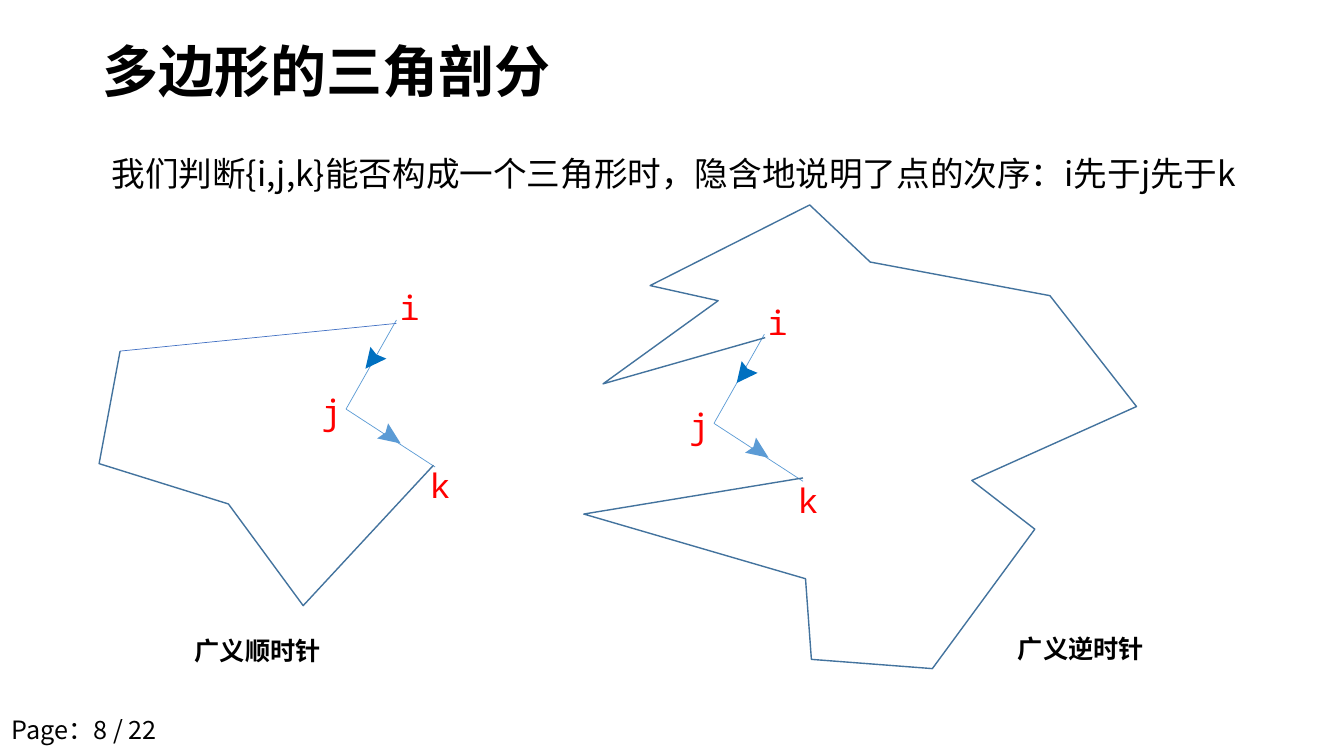
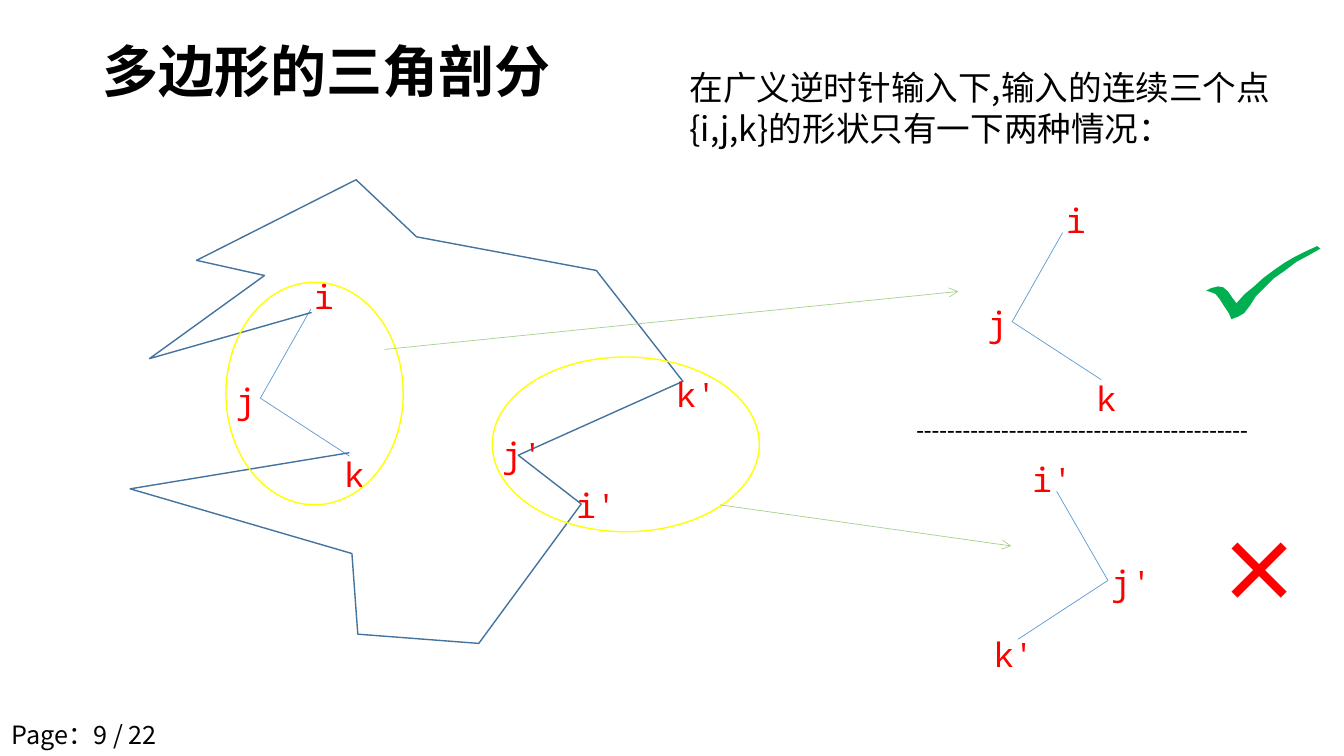
"""Build two slides on polygon triangulation, on a grid of 160 columns by 90 rows."""
from typing import NamedTuple, Optional

import pptx
import pptx.dml.color
import pptx.enum.shapes
import pptx.enum.text
import pptx.oxml.ns
import pptx.util
from lxml import etree

RGB = pptx.dml.color.RGBColor
BLACK = RGB(0x00, 0x00, 0x00)
RED = RGB(0xFF, 0x00, 0x00)
GREEN = RGB(0x00, 0xB0, 0x50)
YELLOW = RGB(0xFF, 0xFF, 0x00)
PALE_GREEN = RGB(0xA9, 0xD1, 0x8E)
SKY = RGB(0x5B, 0x9B, 0xD5)
DEEP_BLUE = RGB(0x00, 0x70, 0xC0)
EDGE_BLUE = RGB(0x44, 0x72, 0xC4)
OUTLINE = RGB(0x43, 0x73, 0x9E)

SANS, MONO = "Noto Sans CJK SC", "Noto Sans Mono"
COLS, ROWS = 160, 90
CELL = pptx.util.Inches(1 / 12)

TITLE_STYLE = {"size": 40, "name": SANS, "bold": True, "color": BLACK}
BODY = {"size": 24, "name": SANS, "color": BLACK}
CAPTION = {"size": 18, "name": SANS, "bold": True, "color": BLACK}
PAGE = {"size": 18, "name": SANS, "color": BLACK}
DASHES = {"size": 18, "name": "Calibri", "color": BLACK}
LABEL = {"size": 24, "name": MONO, "color": RED}
CROSS = {"size": 60, "name": SANS, "bold": True, "color": RED}


class Point(NamedTuple):
    x: float
    y: float


class Box(NamedTuple):
    x: float
    y: float
    w: float
    h: float


class Label(NamedTuple):
    text: str
    at: Point


class Corner(NamedTuple):
    i: Point
    k: Point
    labels: tuple[Label, ...]


LEFT_TURN = Corner(Point(6, -10.6), Point(10.6, 6.9), (
    Label("i", Point(5.2, -15.1)), Label("j", Point(-4.1, -2.8)), Label("k", Point(8.8, 6.1))))
RIGHT_TURN = Corner(Point(-6.1, -10.6), Point(-10.7, 7), (
    Label("i'", Point(-10.2, -15)), Label("j'", Point(-0.8, -2.8)), Label("k'", Point(-14.8, 5.8))))
POLYGON_LABELS = (
    Label("i'", Point(67.4, 57.1)), Label("j'", Point(58.6, 51.1)), Label("k'", Point(79.3, 43.9)))

CONCAVE_POLYGON = [
    (10.6, 6.5), (-15.5, 10.8), (10.9, 18.5), (11.6, 28.1), (26, 29.2),
    (38.2, 12.6), (30.7, 6.8), (50.3, -2), (40, -15.2), (18.6, -19.2),
    (11.4, -26), (-7.6, -16.4), (0.5, -14.6), (-13.2, -4.7), (6.1, -10.2)]
SMALL_POLYGON = [(51.6, 55.4), (36.1, 72.1), (27.2, 60), (11.8, 55.2), (14.3, 41.8)]
HEAD_IJ = [(2.3, -4.8), (2.9, -7.4), (3.6, -6.5), (4.8, -6)]
HEAD_JK = [(6.5, 4.1), (3.7, 3.5), (4.7, 2.8), (5, 1.7)]
CHECK_MARK = [
    (156.8, 29.3), (157.2, 29.6), (155.8, 30.4), (154.3, 31.2), (153, 32.2), (151.7, 33.1),
    (150.6, 34.2), (149.5, 35.3), (148.8, 36.4), (148.1, 37.3), (147.4, 37.7), (146.6, 38),
    (146.3, 37.3), (145.7, 36.4), (145.2, 35.6), (144.7, 35), (144.2, 34.8), (143.6, 34.6),
    (144.2, 34.3), (145, 34.1), (145.6, 34.2), (146.2, 34.7), (146.6, 35.3), (147.2, 36.1),
    (148.2, 35), (149.3, 34.1), (150.4, 33.1), (151.6, 32.2), (152.9, 31.3), (154.1, 30.6),
    (155.5, 29.9)]


def emu(cells: float) -> int:
    return round(cells * CELL)


def write(tf, text: str, style: dict) -> None:
    p = tf.paragraphs[0]
    r = p.add_run()
    r.text = text
    for key, value in style.items():
        if key == "color":
            r.font.color.rgb = value
        else:
            setattr(r.font, key, pptx.util.Pt(value) if key == "size" else value)
    ea = etree.SubElement(r.font._element, pptx.oxml.ns.qn("a:ea"))
    ea.set("typeface", style["name"])


def add_text(s, text: str, box: Box, style: dict) -> None:
    tf = s.shapes.add_textbox(*map(emu, box)).text_frame
    tf.word_wrap = True
    write(tf, text, style)


def add_labels(s, labels: tuple[Label, ...], origin: Point = Point(0, 0)) -> None:
    for label in labels:
        width = 6.6 * len(label.text)
        add_text(s, label.text, Box(origin.x + label.at.x, origin.y + label.at.y, width, 6), LABEL)


def add_line(s, start: Point, end: Point, color: RGB, arrow: bool = False) -> None:
    cx = s.shapes.add_connector(pptx.enum.shapes.MSO_CONNECTOR.STRAIGHT, *map(emu, (*start, *end)))
    cx.line.color.rgb = color
    cx.line.width = pptx.util.Pt(0.5)
    if arrow:
        tail = etree.SubElement(cx.line._get_or_add_ln(), pptx.oxml.ns.qn("a:tailEnd"))
        tail.set("type", "arrow")
    etree.SubElement(cx._element.spPr, pptx.oxml.ns.qn("a:effectLst"))


def paint(sp, fill: Optional[RGB] = None, line: Optional[RGB] = None) -> None:
    sp.shadow.inherit = False
    if fill is None:
        sp.fill.background()
    else:
        sp.fill.solid()
        sp.fill.fore_color.rgb = fill
    if line is None:
        sp.line.fill.background()
    else:
        sp.line.color.rgb = line
        sp.line.width = pptx.util.Pt(1)


def add_outline(s, points: list, origin: Point = Point(0, 0),
                fill: Optional[RGB] = None, line: Optional[RGB] = None) -> None:
    spots = [(emu(origin.x + x), emu(origin.y + y)) for x, y in points]
    builder = s.shapes.build_freeform(*spots[0])
    builder.add_line_segments(spots[1:], close=fill is not None)
    paint(builder.convert_to_shape(), fill, line)


def add_corner(s, corner: Corner, j: Point) -> None:
    for end in (corner.i, corner.k):
        add_line(s, Point(j.x + end.x, j.y + end.y), j, SKY)
    add_labels(s, corner.labels, j)


def add_ellipse(s, box: Box) -> None:
    sp = s.shapes.add_shape(pptx.enum.shapes.MSO_SHAPE.OVAL, *map(emu, box))
    paint(sp, line=YELLOW)


def add_slide(prs, page: int, page_row: float):
    s = prs.slides.add_slide(prs.slide_layouts[5])
    title = s.shapes.title
    frame = dict(zip(("left", "top", "width", "height"), map(emu, Box(11, 0.2, 138, 17.4))))
    for key, value in frame.items():
        setattr(title, key, value)
    tf = title.text_frame
    tf.auto_size = pptx.enum.text.MSO_AUTO_SIZE.NONE
    tf.vertical_anchor = pptx.enum.text.MSO_ANCHOR.MIDDLE
    p = tf.paragraphs[0]
    p.alignment = pptx.enum.text.PP_ALIGN.LEFT
    p.line_spacing = 0.9
    write(tf, "多边形的三角剖分", TITLE_STYLE)
    add_text(s, f"Page：{page} / 22", Box(0.2, page_row, 23, 4.8), PAGE)
    return s


def build_order_slide(prs) -> None:
    s = add_slide(prs, 8, 84.4)
    add_text(s, "我们判断{i,j,k}能否构成一个三角形时，隐含地说明了点的次序：i先于j先于k",
             Box(12.1, 17.6, 136.9, 6), BODY)
    left, right = Point(41.2, 48.7), Point(85, 50.4)
    for j, shift in ((left, 0), (right, 0.4)):
        add_corner(s, LEFT_TURN, j)
        add_outline(s, HEAD_IJ, Point(j.x + shift, j.y), fill=DEEP_BLUE)
        add_outline(s, HEAD_JK, j, fill=SKY)
    add_outline(s, SMALL_POLYGON, line=OUTLINE)
    add_line(s, Point(*SMALL_POLYGON[-1]), Point(47.2, 38.5), EDGE_BLUE)
    add_outline(s, CONCAVE_POLYGON, right, line=OUTLINE)
    add_text(s, "广义顺时针", Box(22, 75, 17.5, 4.8), CAPTION)
    add_text(s, "广义逆时针", Box(120, 74.8, 17.5, 4.8), CAPTION)


def build_cases_slide(prs) -> None:
    s = add_slide(prs, 9, 85)
    add_text(s, "在广义逆时针输入下,输入的连续三个点{i,j,k}的形状只有一下两种情况：",
             Box(80.9, 7.4, 77.6, 15.7), BODY)
    j = Point(31, 47.4)
    add_corner(s, LEFT_TURN, j)
    add_outline(s, CONCAVE_POLYGON, j, line=OUTLINE)
    add_ellipse(s, Box(58.6, 42.5, 31.8, 20.8))
    add_labels(s, POLYGON_LABELS)
    add_corner(s, RIGHT_TURN, Point(131.9, 69.1))
    add_corner(s, LEFT_TURN, Point(120.5, 38.3))
    add_ellipse(s, Box(26.9, 33.6, 21.1, 26.5))
    add_line(s, Point(45.8, 41.6), Point(114.1, 34.7), PALE_GREEN, arrow=True)
    add_line(s, Point(85.7, 60.1), Point(120.4, 65), PALE_GREEN, arrow=True)
    add_text(s, "-" * 43, Box(107.9, 48.7, 46.2, 4.8), DASHES)
    add_outline(s, CHECK_MARK, fill=GREEN)
    add_text(s, "×", Box(143.8, 61.1, 11.3, 13.3), CROSS)


def main() -> None:
    prs = pptx.Presentation()
    prs.slide_width, prs.slide_height = emu(COLS), emu(ROWS)
    build_order_slide(prs)
    build_cases_slide(prs)
    prs.save("out.pptx")


if __name__ == "__main__":
    main()
